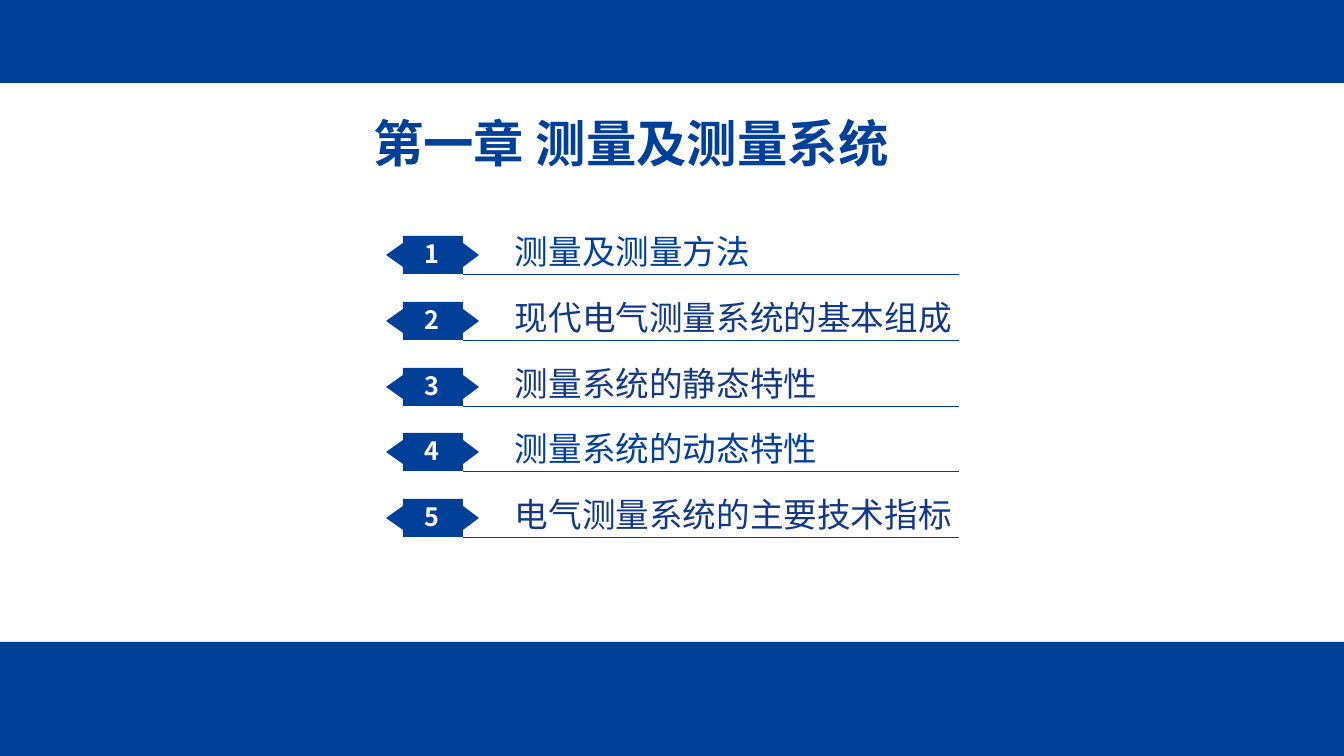
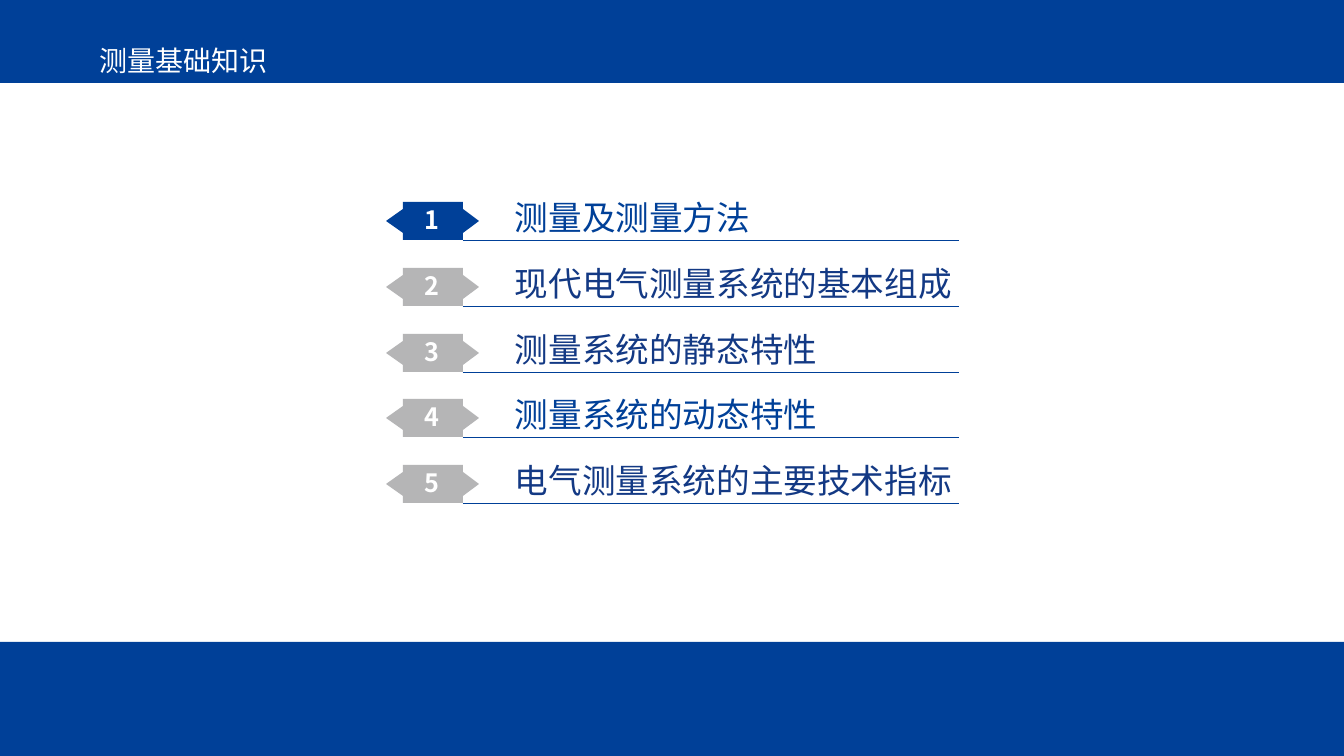
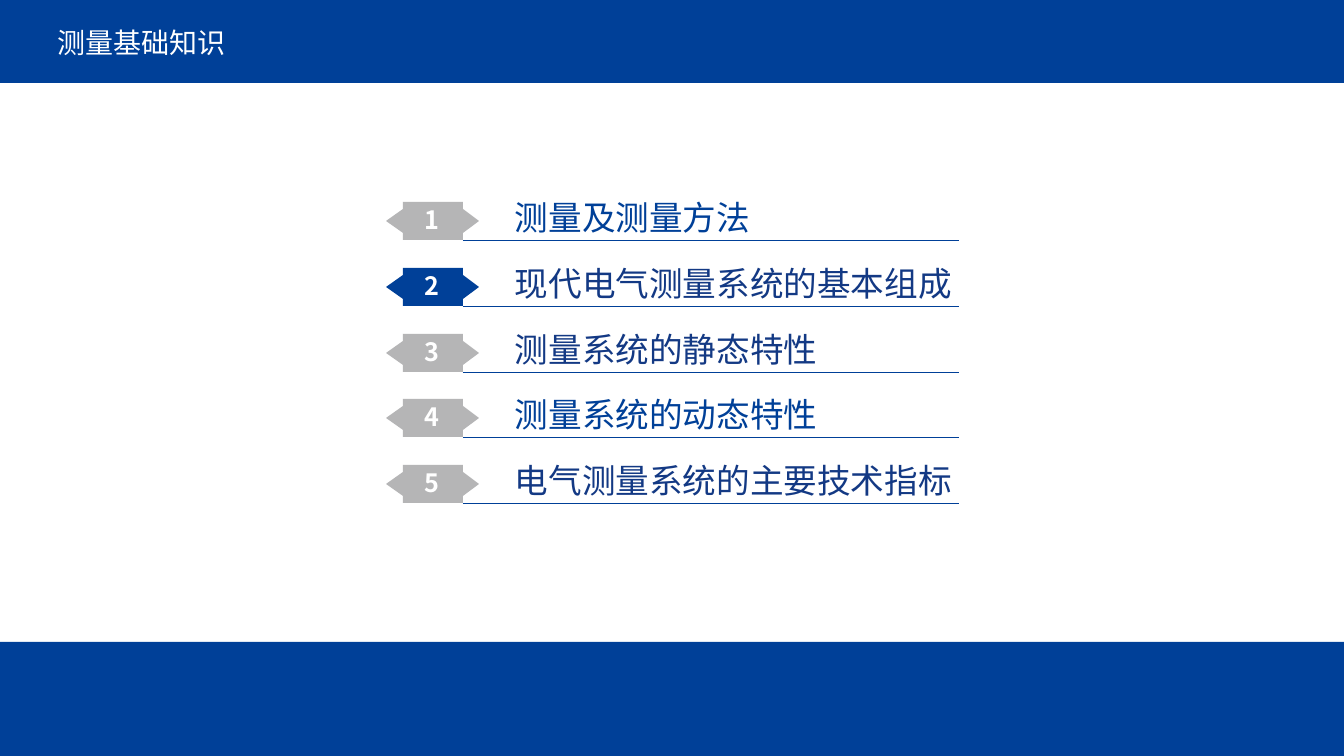
"""Build the chapter contents slides on measurement and measuring systems."""
from dataclasses import dataclass

from lxml import etree
from pptx import Presentation
from pptx import util as u
from pptx.dml.color import RGBColor
from pptx.enum import shapes, text
from pptx.oxml.ns import qn

PX = 12192000 / 1344


@dataclass(frozen=True)
class Theme:
    blue: str = "004098"
    navy: str = "133984"
    grey: str = "B5B5B6"
    white: str = "FFFFFF"
    head: int = 36
    label: int = 24
    title: int = 20
    num: int = 18
    cjk: str = "Noto Sans CJK SC"


T = Theme()


def px(*vals):
    return [u.Emu(round(v * PX)) for v in vals]


def write(shape, words, size, color, face=T.cjk, bold=False):
    frame = shape.text_frame
    frame.text = words
    run = frame.paragraphs[0].runs[0]
    run.font.size = u.Pt(size)
    run.font.bold = bold
    run.font.color.rgb = RGBColor.from_string(color)
    run.font.name = face
    etree.SubElement(run._r.get_or_add_rPr(), qn("a:ea"), typeface=T.cjk)
    return frame


BANDS = [(0, 642, 1344, 114), (0, 0, 1344, 12), (0, 9, 1344, 74)]

TOPICS = [
    ("测量及测量方法", "Karla", T.blue),
    ("现代电气测量系统的基本组成", "Arial", T.navy),
    ("测量系统的静态特性", "Arial", T.navy),
    ("测量系统的动态特性", "Karla", T.blue),
    ("电气测量系统的主要技术指标", "Arial", T.navy),
]

PAGES = [
    ("第一章 测量及测量系统", (363, 124, 715, 44), T.head, T.blue, True, 236, {1, 2, 3, 4, 5}),
    ("测量基础知识", (89, 44, 952, 37), T.title, T.white, False, 202, {1}),
    ("测量基础知识", (47, 26, 952, 37), T.title, T.white, False, 202, {2}),
]

TAG = [(403, 0), (403, 7), (386, 19), (403, 31), (403, 38),
       (463, 38), (463, 31), (479, 19), (463, 7)]
PITCH = 65.75

prs = Presentation()
prs.slide_width, prs.slide_height = px(1344, 756)
layout = prs.slide_layouts[5]
for holder in list(layout.placeholders):
    if holder.placeholder_format.idx:
        layout.shapes.element.remove(holder.element)

slides = [prs.slides.add_slide(layout) for page in PAGES]

for spot, box in enumerate(BANDS, 2):
    band = slides[0].shapes.add_shape(shapes.MSO_SHAPE.RECTANGLE, *px(*box))
    band.shadow.inherit = False
    band.fill.solid()
    band.fill.fore_color.rgb = RGBColor.from_string(T.blue)
    band.line.fill.background()
    band.name = f"Band {spot - 1}"
    layout.shapes.element.insert(spot, band.element)
    band.element.nvSpPr.cNvPr.set("id", str(spot + 8))

for slide, (words, box, size, color, bold, start, lit) in zip(slides, PAGES):
    title = slide.shapes.title
    title.left, title.top, title.width, title.height = px(*box)
    frame = write(title, words, size, color, bold=bold)
    frame.word_wrap = True
    frame.auto_size = text.MSO_AUTO_SIZE.NONE
    frame.vertical_anchor = text.MSO_ANCHOR.MIDDLE
    frame.paragraphs[0].alignment = text.PP_ALIGN.LEFT
    frame.paragraphs[0].line_spacing = 0.9

    for num, (topic, face, ink) in enumerate(TOPICS, 1):
        top = round(start + (num - 1) * PITCH)
        row = slide.shapes.add_group_shape().shapes

        pen = row.build_freeform(463, top, scale=PX)
        pen.add_line_segments([(x, top + y) for x, y in TAG], close=True)
        tag = pen.convert_to_shape()
        tag.shadow.inherit = False
        tag.fill.solid()
        tag.fill.fore_color.rgb = RGBColor.from_string(T.blue if num in lit else T.grey)
        tag.line.fill.background()

        count = row.add_textbox(*px(411, top - 7, 42, 48))
        frame = write(count, str(num), T.num, T.white, bold=True)
        frame.word_wrap = False
        frame.vertical_anchor = text.MSO_ANCHOR.MIDDLE
        frame.paragraphs[0].alignment = text.PP_ALIGN.CENTER

        rule = row.add_connector(shapes.MSO_CONNECTOR.STRAIGHT,
                                 *px(463, top + 38, 959, top + 38))
        rule.line.color.rgb = RGBColor.from_string(T.blue)
        rule.line.width = u.Pt(0.5)
        etree.SubElement(rule.element.spPr, qn("a:effectLst"))

        label = row.add_textbox(*px(505, top - 10, 484, 50))
        frame = write(label, topic, T.label, ink, face)
        frame.word_wrap = True
        frame.auto_size = text.MSO_AUTO_SIZE.SHAPE_TO_FIT_TEXT

prs.save("out.pptx")
